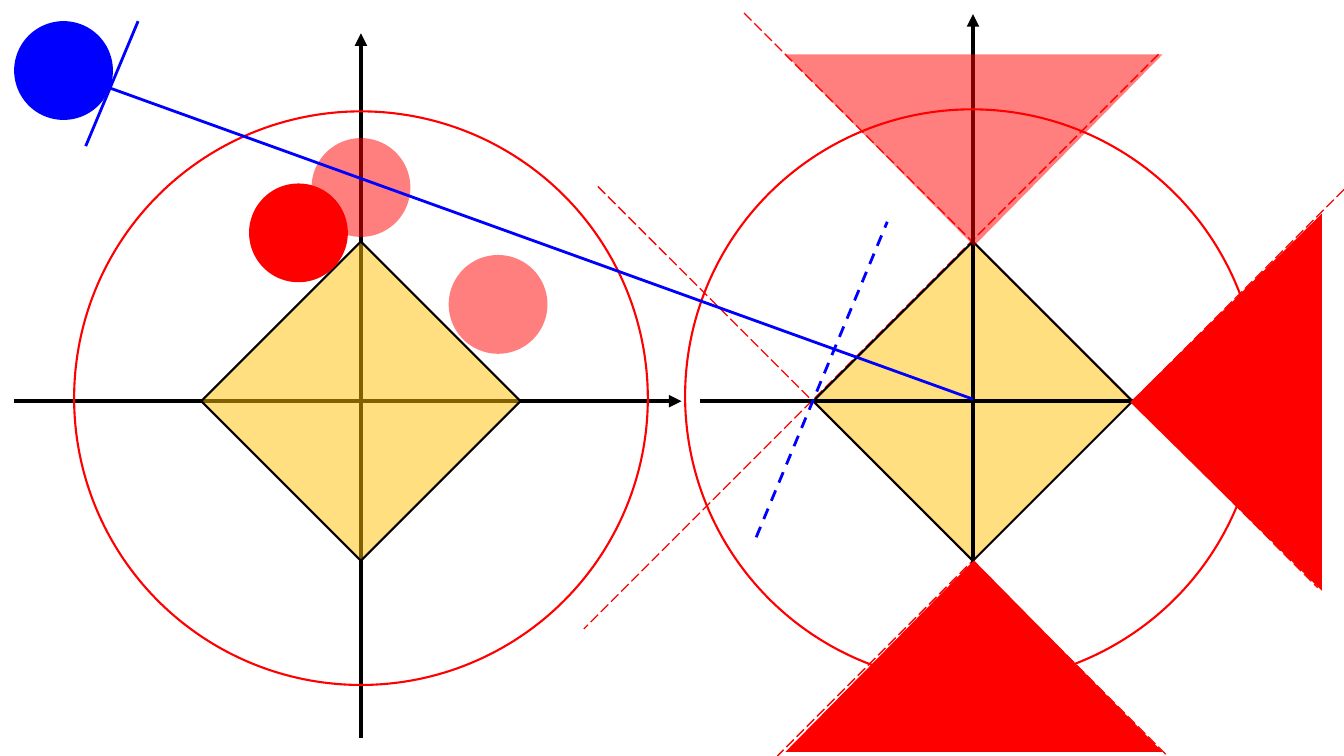
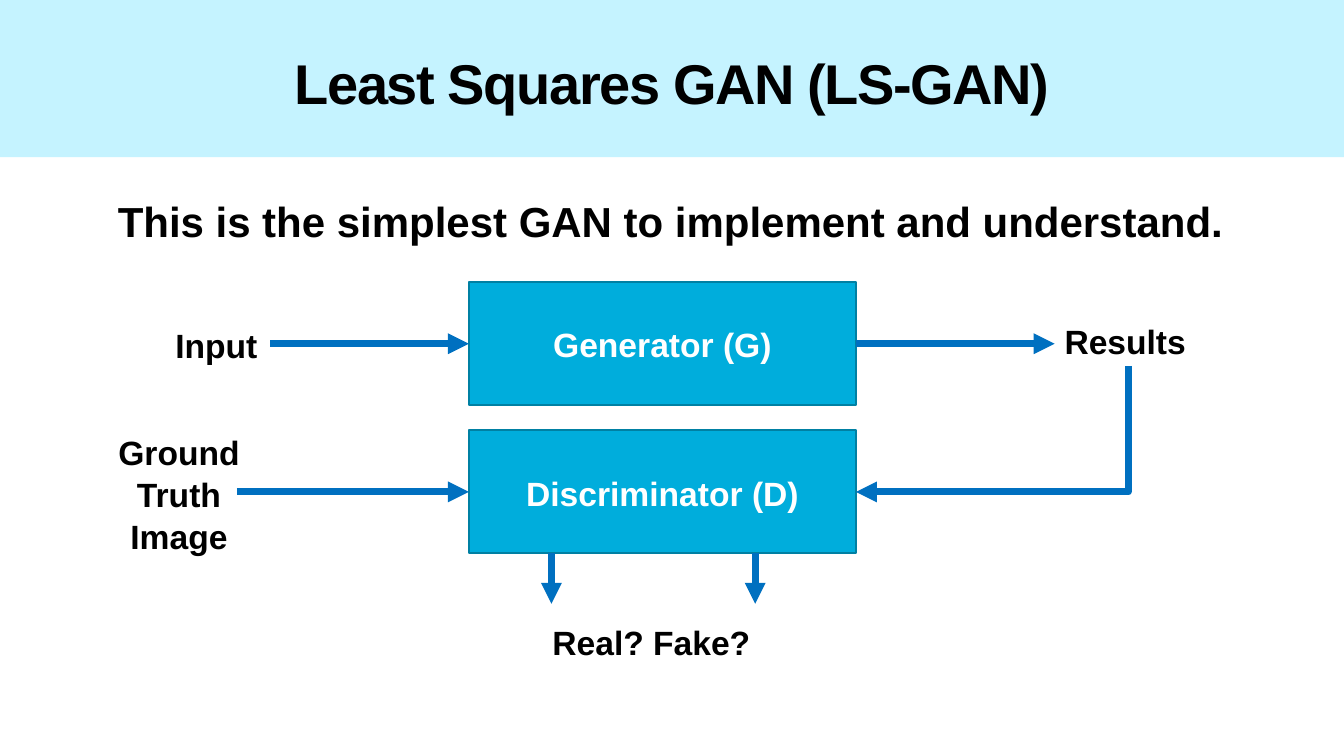
from pptx import Presentation
from pptx import util as u
from pptx.dml.color import RGBColor
from pptx.enum import dml, shapes, text
from pptx.oxml.ns import qn
from lxml import etree

SCALE = 9144  # EMU per px, 100 px to the inch
WIDTH, HEIGHT = 1333, 750
FONT = "Arial"
LINE_SPACING = 1.04
COLORS = {
    "black": "000000", "white": "FFFFFF", "red": "FF0000", "blue": "0000FF",
    "gold": "FFC000", "band": "C5F3FF", "block": "00ADDC", "edge": "0080A3",
    "arrow": "0070C0",
}
SHAPE = shapes.MSO_SHAPE
DASH = dml.MSO_LINE
LEFT, CENTER = text.PP_ALIGN.LEFT, text.PP_ALIGN.CENTER
MIDDLE, TOP = text.MSO_ANCHOR.MIDDLE, text.MSO_ANCHOR.TOP


def px(length):
    return u.Emu(int(length * SCALE))


def color(name):
    return RGBColor.from_string(COLORS[name])


class Painter:
    """Holds the deck, the current page and the shared style."""

    def __init__(self):
        self.deck = Presentation()
        self.deck.slide_width, self.deck.slide_height = px(WIDTH), px(HEIGHT)
        self.page = None

    def new_page(self, title=None):
        layout = self.deck.slide_layouts[5 if title else 6]
        self.page = self.deck.slides.add_slide(layout)
        if title:
            band = self.page.shapes.title
            band.left, band.top, band.width, band.height = px(0), px(0), px(WIDTH), px(156)
            band.fill.solid()
            band.fill.fore_color.rgb = color("band")
            self.set_text(band, title, 40, align=CENTER, anchor=MIDDLE)
            band.text_frame.margin_top = px(9)
            span = band.text_frame.paragraphs[0].runs[0]
            span.font._element.set("spc", "-100")

    def set_text(self, box, words, size=24, ink="black", align=LEFT, anchor=TOP):
        frame = box.text_frame
        frame.word_wrap = True
        frame.auto_size = text.MSO_AUTO_SIZE.NONE
        frame.vertical_anchor = anchor
        para = frame.paragraphs[0]
        para.text = words
        para.alignment = align
        para.line_spacing = LINE_SPACING
        para.font.name, para.font.size, para.font.bold = FONT, u.Pt(size), True
        para.font.color.rgb = color(ink)

    def label(self, words, left, top, width, height=50, size=24, align=LEFT):
        box = self.page.shapes.add_textbox(px(left), px(top), px(width), px(height))
        self.set_text(box, words, size, align=align)

    def shape(self, kind, center, size, fill=None, alpha=100, edge=None, turn=0):
        (x, y), (width, height) = center, size
        item = self.page.shapes.add_shape(
            kind, px(x - width / 2), px(y - height / 2), px(width), px(height))
        item.shadow.inherit = False
        item.rotation = turn
        if fill:
            item.fill.solid()
            item.fill.fore_color.rgb = color(fill)
            if alpha < 100:
                tint = item._element.spPr.find(qn("a:solidFill"))[0]
                etree.SubElement(tint, qn("a:alpha")).set("val", str(alpha * 1000))
        else:
            item.fill.background()
        if edge:
            item.line.color.rgb = color(edge)
            item.line.width = u.Pt(1.5)
        else:
            item.line.fill.background()
        return item

    def disc(self, center, diameter=98, **style):
        self.shape(SHAPE.OVAL, center, (diameter, diameter), **style)

    def diamond(self, center):
        self.shape(SHAPE.RECTANGLE, center, (224, 224), "gold", 50, "black", 315)

    def wedge(self, center, turn=0, alpha=100):
        self.shape(SHAPE.ISOSCELES_TRIANGLE, center, (374, 190), "red", alpha, turn=turn)

    def block(self, words, center):
        item = self.shape(SHAPE.RECTANGLE, center, (384, 122), "block", edge="edge")
        self.set_text(item, words, ink="white", align=CENTER, anchor=MIDDLE)

    def line(self, start, end, ink, weight, dash=None, arrow=False):
        item = self.page.shapes.add_connector(
            shapes.MSO_CONNECTOR.STRAIGHT, *map(px, (*start, *end)))
        item.line.color.rgb = color(ink)
        item.line.width = u.Pt(weight)
        if dash:
            item.line.dash_style = dash
        if arrow:
            outline = item._element.spPr.find(qn("a:ln"))
            etree.SubElement(outline, qn("a:tailEnd")).set("type", "triangle")
        etree.SubElement(item._element.spPr, qn("a:effectLst"))
        return item

    def axis(self, start, end):
        self.line(start, end, "black", 3, arrow=True)

    def arrow(self, start, end):
        return self.line(start, end, "arrow", 5, arrow=True)

    def corner_arrow(self, start, end):
        """Runs down from start, then left to end."""
        (x1, y1), (x2, y2) = start, end
        across, down = x1 - x2, y2 - y1
        left, top = (x1 + x2 - down) / 2, (y1 + y2 - across) / 2
        item = self.arrow((left, top), (left + down, top + across))
        props = item._element.spPr
        props.find(qn("a:prstGeom")).set("prst", "bentConnector2")
        props.find(qn("a:xfrm")).set("rot", str(90 * 60000))


def draw_geometry(paint):
    paint.new_page()
    x_left, x_right, y_mid = 358, 965, 398

    # Extended edges of the right diamond
    for start, end in [((738, 13), (1307, 583)), ((593, 185), (1158, 750)),
                       ((1149, 54), (579, 624)), ((1333, 188), (771, 750))]:
        paint.line(start, end, "red", 0.94, DASH.LONG_DASH)
    paint.diamond((x_right, y_mid))

    # Left plane
    paint.axis((14, y_mid), (676, y_mid))
    paint.axis((x_left, 732), (x_left, 33))
    paint.diamond((x_left, y_mid))
    paint.disc((296, 231), fill="red")
    paint.disc((358, 395), 569, edge="red")
    paint.disc((358, 186), fill="red", alpha=50)

    # Right plane
    paint.axis((694, y_mid), (1272, y_mid))
    paint.axis((x_right, 713), (x_right, 14))
    paint.disc((964, 393), 569, edge="red")
    paint.wedge((966, 651))
    paint.wedge((966, 149), turn=180, alpha=50)
    paint.wedge((1216, 399), turn=270)

    # Blue point with its direction and tangents
    paint.disc((63, 70), fill="blue")
    paint.line((61, 70), (965, 396), "blue", 2)
    paint.line((85, 145), (137, 21), "blue", 2)
    paint.line((750, 533), (880, 220), "blue", 2, DASH.DASH)
    paint.disc((494, 302), fill="red", alpha=50)


def draw_gan(paint):
    paint.new_page("Least Squares GAN (LS-GAN)")
    paint.label("This is the simplest GAN to implement and understand.",
                107, 187, 1126, 117, size=30)
    left, right, generator_y, discriminator_y = 465, 849, 341, 488
    middle = (left + right) / 2

    # Generator row
    paint.block("Generator (G)", (middle, generator_y))
    paint.label("Input", 164, 316, 104)
    paint.arrow((268, generator_y), (left, generator_y))
    paint.arrow((right, generator_y), (1046, generator_y))
    paint.label("Results", 1046, 312, 146)

    # Discriminator row
    paint.block("Discriminator (D)", (middle, discriminator_y))
    paint.arrow((235, discriminator_y), (left, discriminator_y))
    paint.corner_arrow((1119, 363), (right, discriminator_y))
    paint.label("Ground Truth Image", 100, 422, 155, 131, align=CENTER)

    # Verdict
    for x in (547, 749):
        paint.arrow((x, 549), (x, 599))
    paint.label("Real? Fake?", 538, 610, 238)


def main():
    paint = Painter()
    draw_geometry(paint)
    draw_gan(paint)
    paint.deck.save("out.pptx")


if __name__ == "__main__":
    main()
